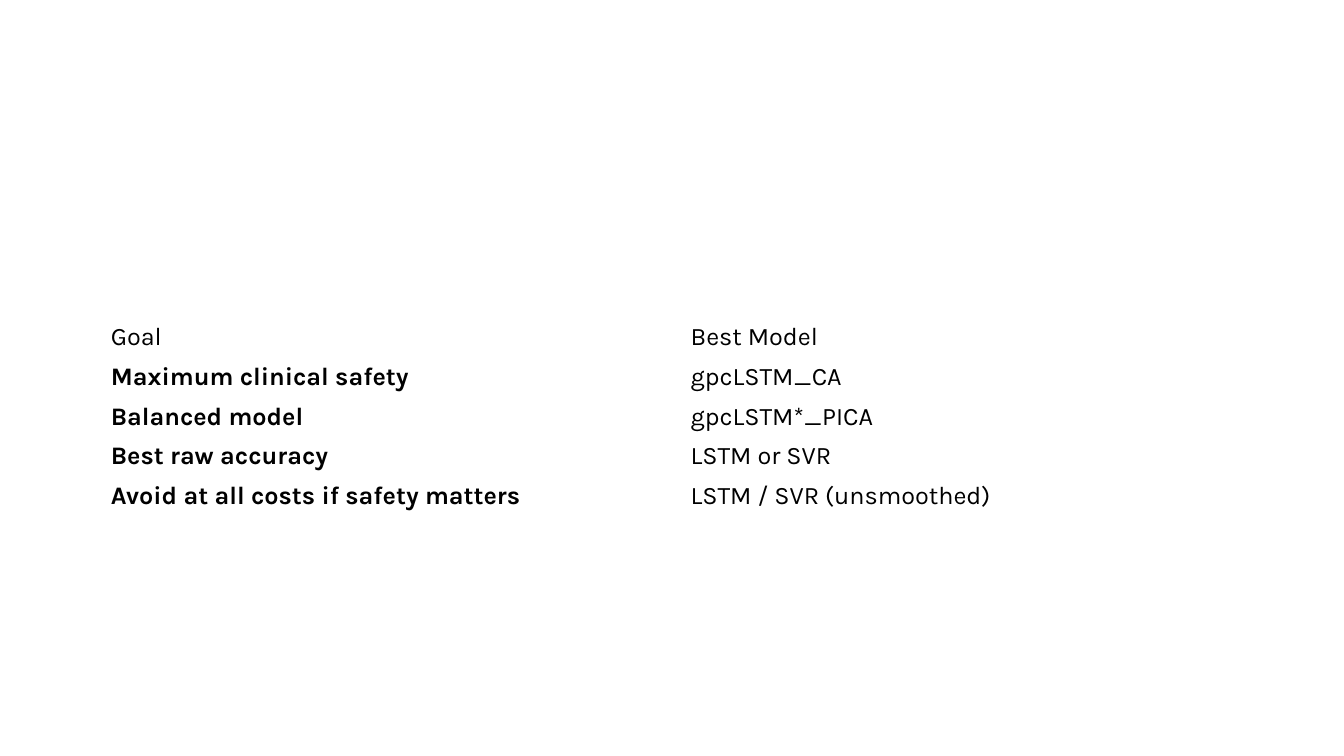
"""Build a slide that matches each modelling goal with its best model."""
from dataclasses import dataclass

from pptx import Presentation
from pptx.dml.color import RGBColor
from pptx.enum.text import MSO_ANCHOR
from pptx.table import _Cell
from pptx.util import Inches, Pt

FONT = "Karla"
TEXT_COLOR = "000000"
COLUMN_WIDTH = 5.75
ROW_HEIGHT = 0.39


@dataclass(frozen=True)
class Recommendation:
    goal: str
    model: str
    bold_goal: bool = True


RECOMMENDATIONS = [
    Recommendation("Goal", "Best Model", bold_goal=False),
    Recommendation("Maximum clinical safety", "gpcLSTM_CA"),
    Recommendation("Balanced model", "gpcLSTM*_PICA"),
    Recommendation("Best raw accuracy", "LSTM or SVR"),
    Recommendation("Avoid at all costs if safety matters", "LSTM / SVR (unsmoothed)"),
]


def color(value: str) -> RGBColor:
    return RGBColor.from_string(value)


def write_cell(cell: _Cell, text: str, bold: bool) -> None:
    cell.fill.background()
    cell.vertical_anchor = MSO_ANCHOR.MIDDLE
    cell.text = text
    font = cell.text_frame.paragraphs[0].font
    font.name = FONT
    font.size = Pt(18)
    font.bold = bold
    font.color.rgb = color(TEXT_COLOR)


def main() -> None:
    deck = Presentation()
    deck.slide_width, deck.slide_height = Inches(13.33), Inches(7.5)
    page = deck.slides.add_slide(deck.slide_layouts[6])
    row_count = len(RECOMMENDATIONS)
    table = page.shapes.add_table(
        row_count, 2, Inches(1), Inches(3.15),
        Inches(2 * COLUMN_WIDTH), Inches(row_count * ROW_HEIGHT),
    ).table
    table.first_row = False
    table.horz_banding = False
    for row, recommendation in enumerate(RECOMMENDATIONS):
        write_cell(table.cell(row, 0), recommendation.goal, recommendation.bold_goal)
        write_cell(table.cell(row, 1), recommendation.model, False)
    deck.save("out.pptx")


if __name__ == "__main__":
    main()
